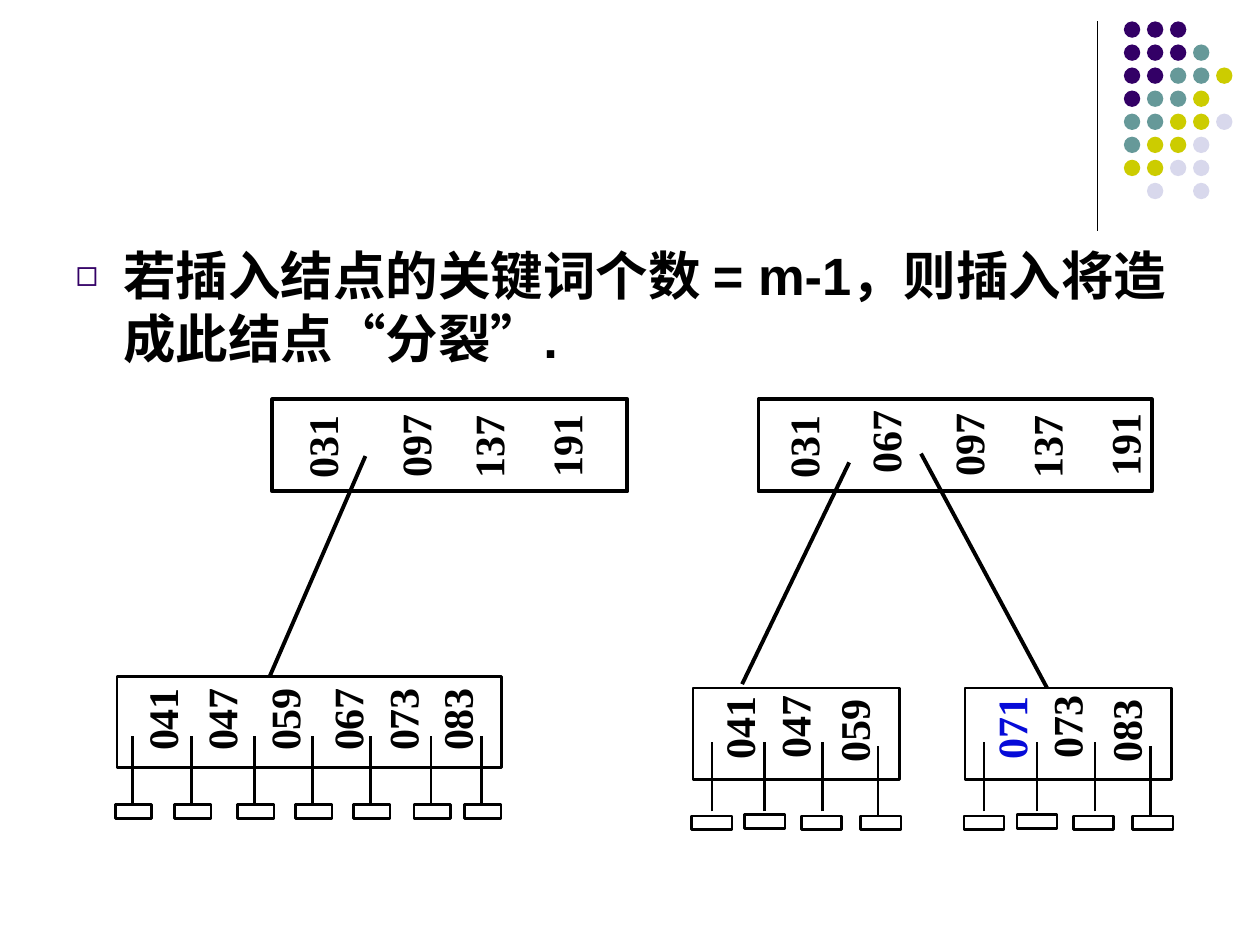
from lxml import etree
from pptx import Presentation
from pptx import util as u
from pptx.dml.color import RGBColor
from pptx.enum import shapes, text
from pptx.oxml.ns import qn

Inches = u.Inches
BLACK, BLUE, PURPLE = "000000", "060BD8", "330066"
DOT_COLORS = {"P": PURPLE, "T": "669999", "Y": "CCCC00", "L": "D8D8EC"}
DOT_ROWS = ["PPP", "PPPT", "PPTTY", "PTTY", "TTYYL", "TYYL", "YYLL", " L L"]


def color(value):
    return RGBColor.from_string(value)


def write_text(shape, words, size=24, font="Times New Roman", fill=BLACK,
               align=text.PP_ALIGN.CENTER, before=0):
    paragraph = shape.text_frame.paragraphs[0]
    paragraph.alignment = align
    paragraph.space_before = u.Pt(before)
    run = paragraph.add_run()
    run.text = words
    run.font.size, run.font.name, run.font.bold = u.Pt(size), font, True
    run.font.color.rgb = color(fill)
    return paragraph


def add_line(slide, start, end, width):
    line = slide.shapes.add_connector(
        shapes.MSO_CONNECTOR.STRAIGHT, *(Inches(value) for value in (*start, *end)))
    line.line.color.rgb = color(BLACK)
    line.line.width = u.Pt(width)
    etree.SubElement(line._element.spPr, qn("a:effectLst"))


def add_shape(slide, kind, box, fill=None, width=None):
    shape = slide.shapes.add_shape(kind, *(Inches(value) for value in box))
    shape.shadow.inherit = False
    if fill:
        shape.fill.solid()
        shape.fill.fore_color.rgb = color(fill)
    else:
        shape.fill.background()
    if width:
        shape.line.color.rgb = color(BLACK)
        shape.line.width = u.Pt(width)
    else:
        shape.line.fill.background()


def add_key(slide, key, x, y, fill=BLACK):
    """Key turned upright, centred on (x, y)."""
    width, height = 0.64, 0.36
    label = slide.shapes.add_textbox(Inches(x - width / 2), Inches(y - height / 2),
                                     Inches(width), Inches(height))
    label.rotation = 270
    frame = label.text_frame
    frame.word_wrap = True
    frame.vertical_anchor = text.MSO_ANCHOR.MIDDLE
    frame.margin_left = frame.margin_right = frame.margin_top = frame.margin_bottom = 0
    write_text(label, key, fill=fill)


def add_node(slide, box, keys, width):
    """Node frame with keys given as (key, x, y) relative to the box."""
    add_shape(slide, shapes.MSO_SHAPE.RECTANGLE, box, width=width)
    for key, x, y in keys:
        add_key(slide, key, box[0] + x, box[1] + y, BLUE if key == "071" else BLACK)


def add_leaf(slide, box, keys, stems, null_width):
    """Leaf node with null pointers, given as (stem x, stem top, null x, null y)."""
    add_node(slide, box, keys, 1.5)
    left, top = box[:2]
    for x, stem_top, null_x, null_y in stems:
        add_shape(slide, shapes.MSO_SHAPE.RECTANGLE,
                  (left + null_x - null_width / 2, top + null_y - 0.055, null_width, 0.11),
                  width=1.5)
        add_line(slide, (left + x, top + stem_top + 0.55), (left + x, top + stem_top), 1.5)


def add_decoration(slide, left, top):
    add_line(slide, (left, top), (left, top + 1.66), 0.75)
    pitch = 0.183
    for row, marks in enumerate(DOT_ROWS):
        for column, mark in enumerate(marks):
            if mark in DOT_COLORS:
                box = (left + 0.21 + column * pitch, top + row * pitch, 0.13, 0.13)
                add_shape(slide, shapes.MSO_SHAPE.OVAL, box, fill=DOT_COLORS[mark])


def add_body(slide, box):
    body = slide.placeholders[1]
    body.left, body.top, body.width, body.height = (Inches(value) for value in box)
    paragraph = write_text(body, "若插入结点的关键词个数 = m-1，则插入将造成此结点“分裂”.",
                           size=30, font="Arial", align=text.PP_ALIGN.LEFT, before=7.5)
    # Hollow square bullet with a hanging indent
    properties = paragraph._p.get_or_add_pPr()
    properties.set("marL", str(Inches(0.38)))
    properties.set("indent", str(-Inches(0.38)))
    bullet_color = etree.SubElement(properties, qn("a:buClr"))
    etree.SubElement(bullet_color, qn("a:srgbClr"), val=PURPLE)
    etree.SubElement(properties, qn("a:buSzPct"), val="70000")
    etree.SubElement(properties, qn("a:buFont"), typeface="Arial")
    etree.SubElement(properties, qn("a:buChar"), char="◻")


def add_tree_before(slide, left, top):
    root_keys = [("031", 1.62, 0.38), ("097", 2.36, 0.37),
                 ("137", 2.94, 0.38), ("191", 3.56, 0.37)]
    add_node(slide, (left + 1.23, top, 2.82, 0.73),
             [(key, x - 1.23, y) for key, x, y in root_keys], 2.25)
    add_line(slide, (left + 1.21, top + 2.2), (left + 1.97, top + 0.45), 2.25)
    leaf_keys = zip(["041", "047", "059", "067", "073", "083"],
                    [0.35, 0.82, 1.32, 1.82, 2.26, 2.69])
    stems = [0.12, 0.59, 1.09, 1.55, 2.01, 2.49, 2.89]
    add_leaf(slide, (left, top + 2.2, 3.05, 0.72),
             [(key, x, 0.34) for key, x in leaf_keys],
             [(x, 0.47, x + 0.01, 1.07) for x in stems], 0.29)


def add_tree_after(slide, left, top):
    add_node(slide, (left + 0.52, top, 3.12, 0.73),
             [("031", 0.35, 0.38), ("067", 1, 0.34), ("097", 1.66, 0.36),
              ("137", 2.28, 0.38), ("191", 2.9, 0.36)], 2.25)
    add_line(slide, (left + 0.39, top + 2.26), (left + 1.24, top + 0.5), 2.25)
    stems = [(0.15, 0.43, 0.15, 1.07), (0.57, 0.43, 0.57, 1.06),
             (1.03, 0.43, 1.02, 1.07), (1.47, 0.46, 1.49, 1.07)]
    places = [(0.36, 0.32), (0.8, 0.31), (1.27, 0.34)]
    for index, keys in enumerate([("041", "047", "059"), ("071", "073", "083")]):
        add_leaf(slide, (left + index * 2.16, top + 2.29, 1.64, 0.73),
                 [(key, *place) for key, place in zip(keys, places)], stems, 0.32)
    add_line(slide, (left + 1.81, top + 0.43), (left + 2.81, top + 2.29), 2.25)


def main():
    presentation = Presentation()
    presentation.slide_width, presentation.slide_height = Inches(10), Inches(7.5)
    slide = presentation.slides.add_slide(presentation.slide_layouts[1])
    title = slide.shapes.title._element
    title.getparent().remove(title)
    add_decoration(slide, 8.71, 0.17)
    add_body(slide, (0.5, 1.88, 9, 4.82))
    add_tree_before(slide, 0.93, 3.17)
    add_tree_after(slide, 5.5, 3.17)
    presentation.save("out.pptx")


if __name__ == "__main__":
    main()
